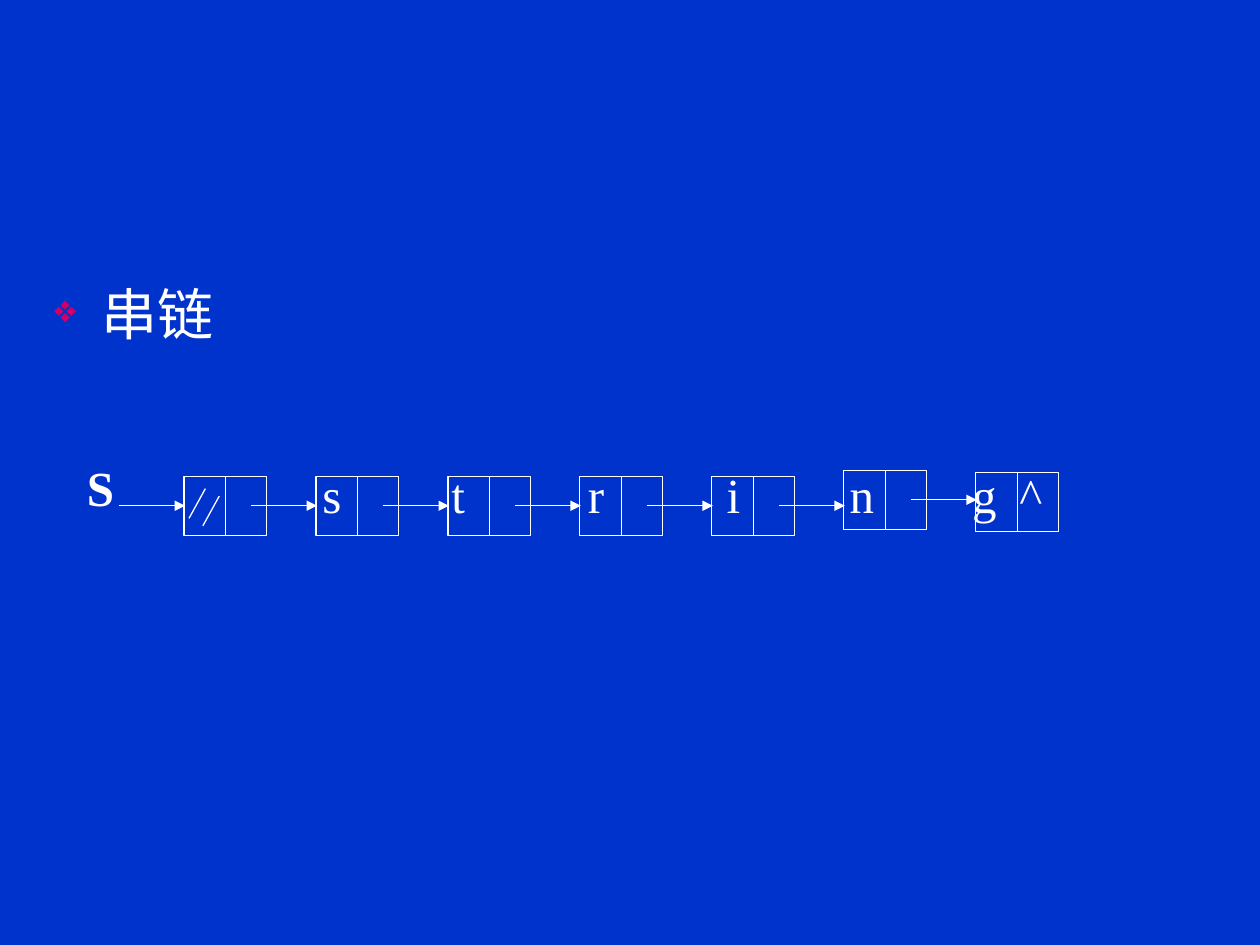
from dataclasses import dataclass

from pptx import Presentation
from pptx.dml.color import RGBColor
from pptx.enum.shapes import MSO_CONNECTOR, MSO_SHAPE
from pptx.enum.text import PP_ALIGN
from pptx.oxml import parse_xml
from pptx.oxml.ns import nsdecls
from pptx.util import Cm, Pt


@dataclass(frozen=True)
class Theme:
    back: str = "0033CC"
    ink: str = "FFFFFF"
    mark: str = "CC0066"
    sans: str = "Arial"
    serif: str = "Times New Roman"
    head: int = 32
    body: int = 28
    rule: float = 0.75


theme = Theme()
PITCH, WIDE, HIGH = 2.66, 1.67, 1.19
DROPS = [0, 0, 0, 0, 0, -0.12, -0.08]
STOPS = [2.6, 5.35, 8.15, 10.63, 13.1, 14.05]


def apply(part, values):
    for name, value in values.items():
        setattr(part, name, value)


def node(tag, attrs="", inner=""):
    return parse_xml(f"<a:{tag} {nsdecls('a')} {attrs}>{inner}</a:{tag}>")


def write(shapes, box, text, look, form, extras=()):
    frame = shapes.add_textbox(*map(Cm, box)).text_frame
    frame.word_wrap = True
    para = frame.paragraphs[0]
    apply(para, form)
    props = para._p.get_or_add_pPr()
    for extra in extras:
        props.append(extra)
    run = para.add_run()
    run.text = text
    apply(run.font, look)
    run.font.color.rgb = RGBColor.from_string(theme.ink)


def stroke(shape):
    shape.line.color.rgb = RGBColor.from_string(theme.ink)
    shape.line.width = Pt(theme.rule)


def rule(shapes, ends, arrow=False):
    line = shapes.add_connector(MSO_CONNECTOR.STRAIGHT, *map(Cm, ends))
    stroke(line)
    if arrow:
        line.line._get_or_add_ln().append(node("tailEnd", 'type="triangle"'))
    line._element.spPr.append(node("effectLst"))


def cell(shapes, left, top):
    rect = shapes.add_shape(
        MSO_SHAPE.RECTANGLE, *map(Cm, (left, top, WIDE, HIGH)))
    rect.fill.background()
    rect.shadow.inherit = False
    stroke(rect)
    mid = left + WIDE / 2
    rule(shapes, (mid, top, mid, top + HIGH))


def title(slide, box):
    marks = [
        node("buClr", inner=f'<a:srgbClr val="{theme.mark}"/>'),
        node("buSzPct", 'val="70000"'),
        node("buChar", 'char="❖"'),
    ]
    look = {"name": theme.sans, "size": Pt(theme.head)}
    write(slide.shapes, box, "串链", look, {}, marks)
    props = slide.shapes[-1].text_frame.paragraphs[0]._p.pPr
    props.set("marL", str(Cm(0.95)))
    props.set("indent", str(-Cm(0.95)))


def chain(slide, left, top):
    shapes = slide.shapes.add_group_shape().shapes
    look = {"name": theme.serif, "size": Pt(theme.body)}
    form = {"alignment": PP_ALIGN.LEFT, "line_spacing": 0.8}
    stops = "".join(f'<a:tab pos="{Cm(x)}" algn="l"/>' for x in STOPS)
    write(shapes, (left + 2.54, top - 0.13, 17.65, 1.7),
          "\t".join("string^"), look, form, [node("tabLst", inner=stops)])
    write(shapes, (left - 2.21, top - 0.28, 2.08, 1.47),
          "S", {**look, "bold": True}, form)
    for step, drop in enumerate(DROPS):
        cell(shapes, left + step * PITCH, top + drop)
    for step, drop in enumerate([0] + DROPS[:-1]):
        start = left + (step - 1) * PITCH + 1.35
        level = top + drop + HIGH / 2
        rule(shapes, (start, level, start + 1.33, level), True)
    for over, down in ((0.1, 0.25), (0.38, 0.4)):
        rule(shapes, (left + over + 0.33, top + down,
                      left + over, top + down + 0.6))


def main():
    deck = Presentation()
    apply(deck, {"slide_width": Cm(25.4), "slide_height": Cm(19.05)})
    slide = deck.slides.add_slide(deck.slide_layouts[6])
    fill = slide.background.fill
    fill.solid()
    fill.fore_color.rgb = RGBColor.from_string(theme.back)
    title(slide, (0.84, 5.51, 23.72, 10.8))
    chain(slide, 3.71, 9.6)
    deck.save("out.pptx")


if __name__ == "__main__":
    main()
